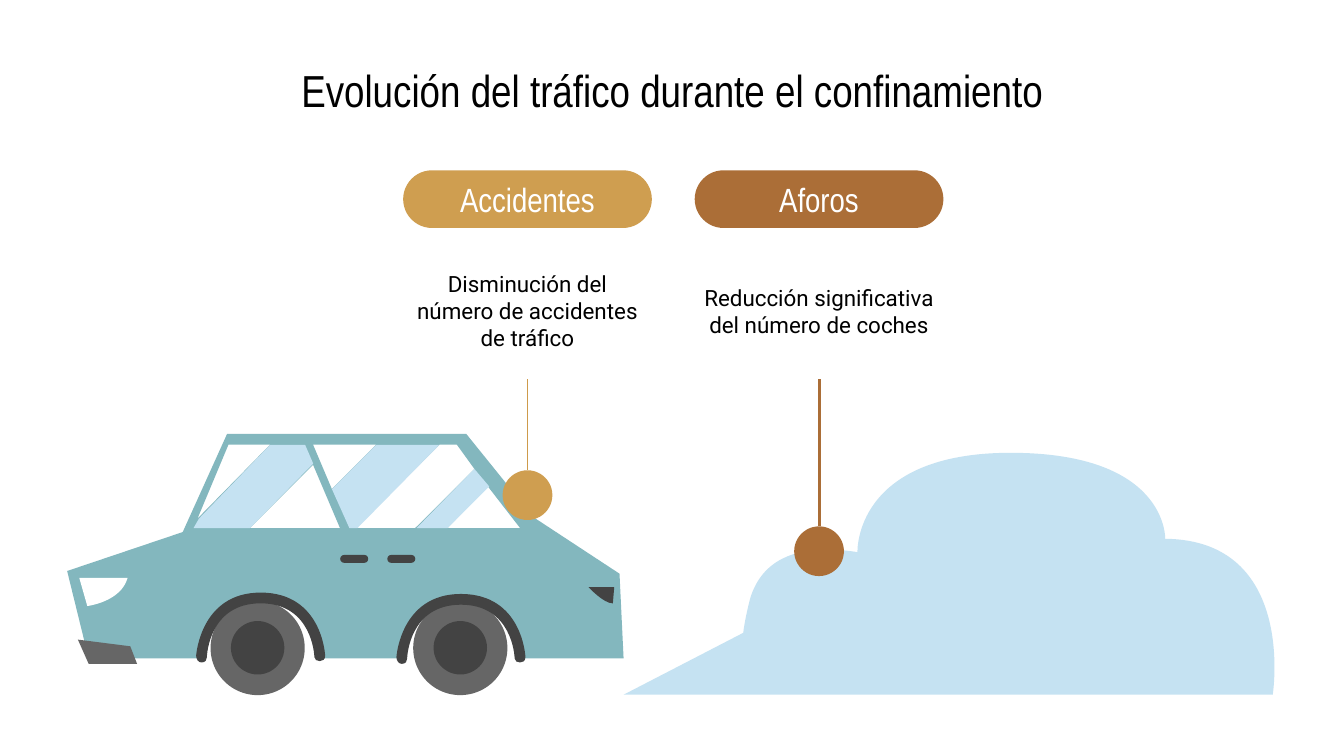
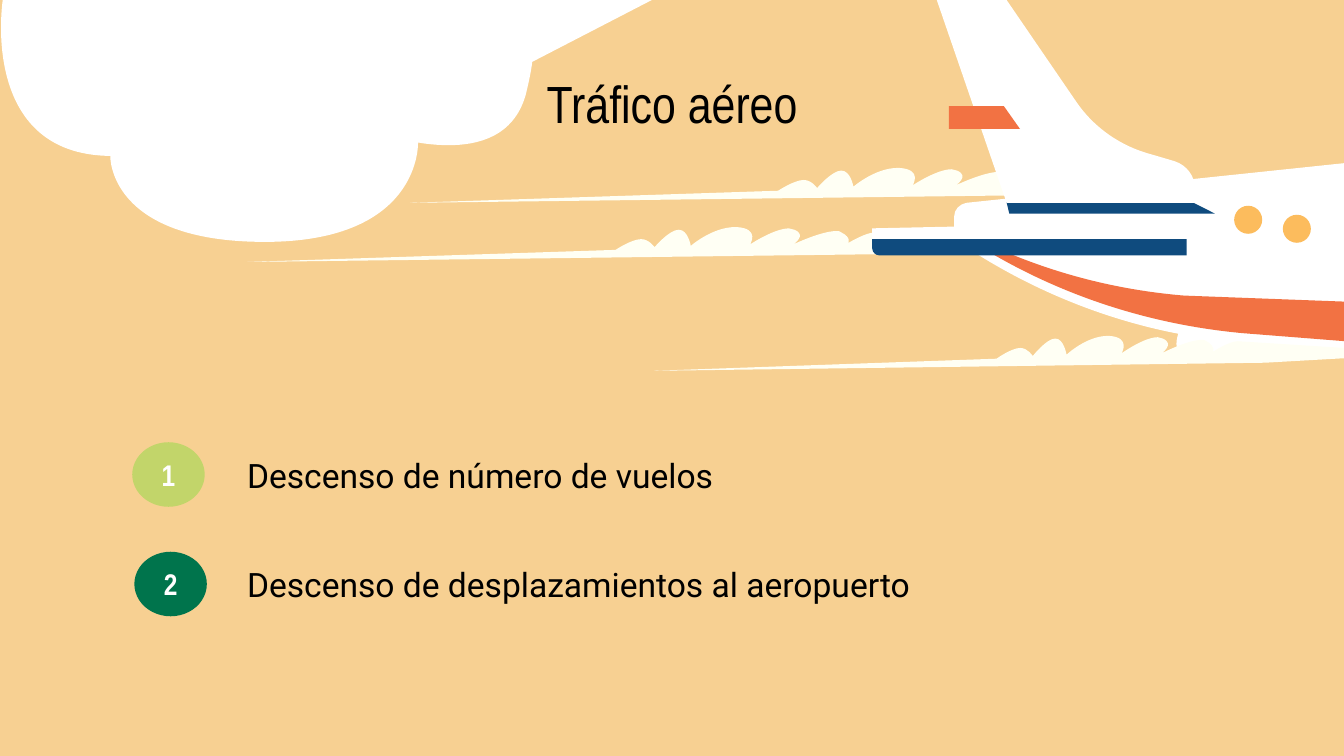
from pptx import Presentation
from pptx.dml.color import RGBColor
from pptx.enum.shapes import MSO_CONNECTOR, MSO_SHAPE
from pptx.enum.text import MSO_ANCHOR, PP_ALIGN
from pptx.oxml.ns import qn
from pptx.util import Cm, Pt
from lxml.etree import SubElement

COLORS = {
    "black": "000000", "white": "FFFFFF", "sky": "C5E2F2", "sand": "F7D092",
    "ochre": "CF9E50", "ochre_line": "CE9B4B", "brown": "AB6E37",
    "body": "83B7BE", "tyre": "666666", "dark": "434343",
    "smoke": "FFFFF4", "orange": "F27243", "navy": "0F4B7E", "porthole": "FCBC5D",
    "lime": "C2D56A", "green": "00744C",
}
HEAD_FONT = "Arial Narrow"
BODY_FONT = "Roboto"
INSET = Cm(0.25)
GRID = Cm(0.0254)

CLOUD = """M 752 337 C 635 337 638 411 638 411 C 638 411 628 409 615 409
    C 594 409 567 415 558 446 C 556 454 554 463 553 471 L 464 517 L 947 517
    C 947 517 965 402 867 401 C 867 401 869 337 752 337"""

CAR_BODY = """M 280 331 L 247 364 L 233 331
    M 201 331 L 147 386 L 170 331
    M 233 346 L 253 393 L 186 393
    M 340 331 L 353 349 L 309 393 L 265 393 L 327 331
    M 363 362 L 387 393 L 333 393
    M 169 323 L 136 396 L 50 425 L 66 490 L 148 490
    C 148 466 168 446 192 446 C 216 446 236 466 236 490 L 299 490
    C 299 466 318 446 343 446 C 367 446 386 466 386 490
    L 464 490 L 461 427 L 397 385 L 372 354 L 347 323"""
GLASS = [
    "M 201 331 L 148 386 L 144 393 L 186 393 L 233 345 L 227 331",
    "M 280 331 L 247 364 L 260 393 L 266 393 L 327 331",
    "M 353 349 L 310 393 L 333 393 L 364 362",
]
HEADLIGHT = "M 59 430 L 65 451 C 65 451 90 448 95 430"
TAILLIGHT = "M 438 437 C 438 437 449 449 456 449 L 457 437"
BUMPER = "M 58 476 L 66 494 L 102 494 L 97 481"
WHEEL_ARCH = """M 194 441 C 149 441 146 488 146 488 C 146 491 148 493 150 493
    C 153 493 154 491 154 489 C 154 487 156 449 194 449
    C 232 449 234 487 234 489 C 234 491 236 492 238 492
    C 240 492 242 491 242 488 C 242 488 240 441 194 441"""

TRAIL = """M 668 125 C 651 125 635 139 635 139 C 635 139 633 127 626 127
    C 619 127 608 140 608 140 C 608 140 604 134 598 134
    C 591 134 579 142 579 142 L 305 151 L 794 145 L 926 138 L 772 129
    C 765 129 752 137 752 137 C 752 137 755 133 747 129
    C 746 128 745 128 743 128 C 732 128 711 138 711 138
    C 711 138 722 131 712 127 C 711 127 709 126 708 126
    C 697 126 679 138 679 138 C 679 138 687 126 669 125"""
PUFF = """M 980 255 C 979 254 978 253 978 252 C 977 247 970 243 966 241
    C 965 240 964 240 963 238 C 958 232 951 229 944 231
    C 941 231 938 230 936 228 C 932 225 927 223 921 223
    C 910 223 901 229 898 238 C 896 237 893 236 890 236
    C 879 236 872 254 877 264 C 876 265 983 266 983 261 C 983 258 982 256 980 255"""
FUSELAGE = """M 1014 263 L 925 255 C 848 249 774 222 710 178 L 710 161
    C 710 156 714 152 719 151 L 1014 120"""
BELLY = """M 710 169 L 710 171 C 774 215 848 241 925 248 L 1014 255
    L 1014 225 L 881 220 C 821 215 763 198 710 169"""
FIN_BASE = """M 749 5 L 749 151 L 751 159 L 904 159 L 888 151 L 889 144
    C 889 135 882 127 874 124 L 856 120 C 834 113 814 99 801 80"""
FIN = """M 801 76 L 749 0 L 697 0 L 749 151 L 889 151 L 889 140
    C 889 131 883 123 874 120 L 857 115 C 834 109 814 95 801 76"""
WING_TOP = "M 883 178 L 649 178 L 649 170 L 883 165"
WING_BOTTOM = "M 649 178 L 649 185 C 649 188 652 190 654 190 L 883 190 L 883 178"
STABILIZER = "M 706 79 L 706 96 L 759 96 L 747 79"


def rgb(name):
    return RGBColor.from_string(COLORS[name])


def paint(sp, color):
    sp.shadow.inherit = False
    sp.fill.solid()
    sp.fill.fore_color.rgb = rgb(color)
    sp.line.fill.background()
    return sp


def write(sp, text, size, font=HEAD_FONT, color="black", align=PP_ALIGN.CENTER,
          bold=False, anchor=MSO_ANCHOR.MIDDLE):
    tf = sp.text_frame
    tf.word_wrap = True
    tf.vertical_anchor = anchor
    tf.margin_left = tf.margin_right = tf.margin_top = tf.margin_bottom = INSET
    p = tf.paragraphs[0]
    p.text = text
    p.alignment = align
    p.font.size = Pt(size)
    p.font.name = font
    p.font.bold = bold
    p.font.color.rgb = rgb(color)
    return sp


def add_shape(s, kind, color, x, y, w, h):
    return paint(s.shapes.add_shape(kind, Cm(x), Cm(y), Cm(w), Cm(h)), color)


def add_pill(s, color, x, y, w, h):
    sp = add_shape(s, MSO_SHAPE.ROUNDED_RECTANGLE, color, x, y, w, h)
    sp.adjustments[0] = 0.5
    return sp


def add_disc(s, color, cx, y, d):
    return add_shape(s, MSO_SHAPE.OVAL, color, cx - d / 2, y, d, d)


def add_text(s, text, x, y, w, h, size, **style):
    return write(s.shapes.add_textbox(Cm(x), Cm(y), Cm(w), Cm(h)), text, size, **style)


def add_title(s, text, y, size):
    add_text(s, text, 1.27, y, 22.86, 1.07, size, anchor=MSO_ANCHOR.TOP)


def read_outline(outline):
    tokens = iter(outline.split())
    for command in tokens:
        count = 3 if command == "C" else 1
        yield command, [(int(next(tokens)), int(next(tokens))) for _ in range(count)]


def bend(sp, commands):
    path = next(sp._element.iter(qn("a:path")))
    steps = iter([step for step in path if step.tag != qn("a:close")])
    for command, _ in commands:
        step = next(steps)
        if command == "C":
            curve = SubElement(path, qn("a:cubicBezTo"))
            step.addprevious(curve)
            for corner in (step, next(steps), next(steps)):
                curve.append(corner[0])
                path.remove(corner)


def add_outline(s, color, outline, dx=0, dy=0, stretch=1):
    commands = [(command, [((x * stretch + dx) * GRID, (y + dy) * GRID) for x, y in points])
                for command, points in read_outline(outline)]
    fb = s.shapes.build_freeform(*commands[0][1][0])
    for i, (command, points) in enumerate(commands[1:], 1):
        if command == "M":
            fb.move_to(*points[0])
        else:
            last = i + 1 == len(commands) or commands[i + 1][0] == "M"
            fb.add_line_segments(points, close=last)
    sp = paint(fb.convert_to_shape(), color)
    bend(sp, commands)
    return sp


def add_callout(s, heading, text, cx, disc_y, color, line_color, weight):
    write(add_pill(s, color, cx - 2.35, 3.22, 4.7, 1.09), heading, 18, color="white")
    note = add_text(s, text, cx - 2.46, 4.58, 4.92, 2.59, 12, font=BODY_FONT)
    disc = add_disc(s, color, cx, disc_y, 0.94)
    line = s.shapes.add_connector(MSO_CONNECTOR.STRAIGHT, Cm(cx), Cm(7.17), Cm(cx), Cm(disc_y))
    line.begin_connect(note, 2)
    line.end_connect(disc, 0)
    line.line.color.rgb = rgb(line_color)
    line.line.width = Pt(weight)
    SubElement(line._element.spPr, qn("a:effectLst"))


def add_car(s):
    add_outline(s, "body", CAR_BODY)
    for color, y, d in (("tyre", 11.36, 1.78), ("dark", 11.74, 1.01)):
        for cx in (4.87, 8.7):
            add_disc(s, color, cx, y, d)
    for pane in GLASS:
        add_outline(s, "sky", pane)
    add_outline(s, "white", HEADLIGHT)
    for dx, dy in ((149, 1), (0, 0)):
        add_outline(s, "dark", WHEEL_ARCH, dx, dy)
    add_outline(s, "dark", TAILLIGHT)
    for x in (7.32, 6.43):
        add_pill(s, "dark", x, 10.49, 0.53, 0.15)
    add_outline(s, "tyre", BUMPER)


def add_plane(s):
    add_outline(s, "smoke", TRAIL)
    add_outline(s, "white", PUFF)
    add_outline(s, "smoke", TRAIL, -121, 44)
    for color, part in (
        ("white", FUSELAGE), ("orange", BELLY), ("navy", FIN_BASE), ("white", FIN),
        ("white", WING_TOP), ("navy", WING_BOTTOM),
    ):
        add_outline(s, color, part)
    for cx, y in ((23.59, 3.89), (24.51, 4.06)):
        add_disc(s, "porthole", cx, y, 0.53)
    add_outline(s, "orange", STABILIZER)
    add_outline(s, "smoke", TRAIL, 203, 125, 0.93)


def add_point(s, number, text, x, y, width, color):
    disc = add_shape(s, MSO_SHAPE.OVAL, color, x, y, 1.37, 1.22)
    write(disc, number, 16, color="white", bold=True)
    add_text(s, text, 4.42, y - 0.11, width, 1.45, 18, font=BODY_FONT, align=PP_ALIGN.LEFT)


def road_slide(s):
    add_title(s, "Evolución del tráfico durante el confinamiento", 0.94, 24)
    add_car(s)
    add_outline(s, "sky", CLOUD)
    add_callout(s, "Accidentes", "Disminución del número de accidentes de tráfico",
                9.97, 8.89, "ochre", "ochre_line", 0.75)
    add_callout(s, "Aforos", "Reducción significativa del número de coches",
                15.48, 9.95, "brown", "brown", 1.5)


def air_slide(s, width, height):
    paint(s.shapes.add_shape(MSO_SHAPE.RECTANGLE, 0, 0, width, height), "sand")
    add_outline(s, "white", CLOUD, -480, -337).rotation = 180
    add_plane(s)
    add_title(s, "Tráfico aéreo", 1.09, 28)
    add_point(s, "1", "Descenso de número de vuelos", 2.5, 8.36, 11.4, "lime")
    add_point(s, "2", "Descenso de desplazamientos al aeropuerto", 2.54, 10.43, 14.2, "green")


def main():
    prs = Presentation()
    prs.slide_width, prs.slide_height = Cm(25.4), Cm(14.29)
    blank = prs.slide_layouts[6]
    road_slide(prs.slides.add_slide(blank))
    air_slide(prs.slides.add_slide(blank), prs.slide_width, prs.slide_height)
    prs.save("out.pptx")


if __name__ == "__main__":
    main()
